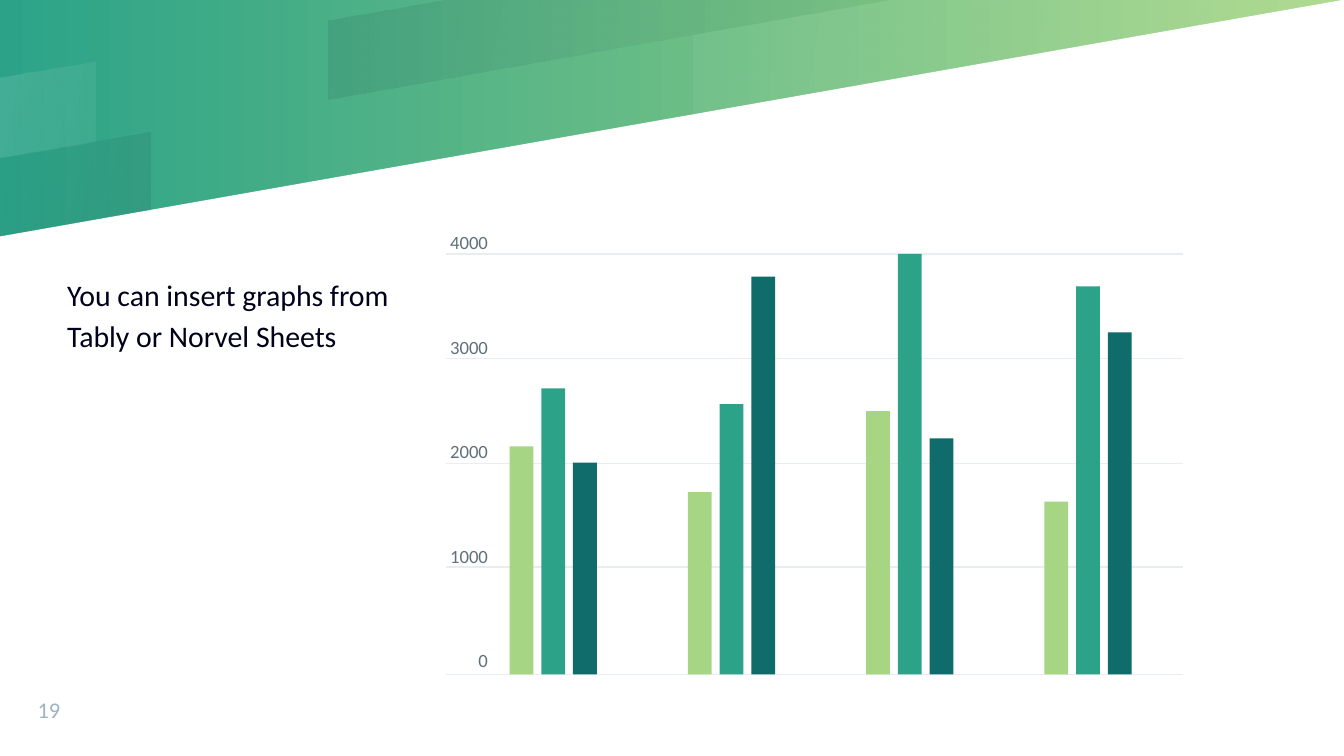
from dataclasses import dataclass

from lxml import etree
from pptx import Presentation
from pptx.dml.color import RGBColor
from pptx.enum import shapes, text
from pptx.oxml.ns import qn
from pptx.util import Cm, Pt


@dataclass(frozen=True)
class Theme:
    """Colours, font and type sizes of the slide."""
    lime: str = "A6D683"
    green: str = "2CA388"
    teal: str = "106B6B"
    ink: str = "00001A"
    white: str = "FFFFFF"
    grid: str = "E8EDF1"
    label: str = "60707A"
    number: str = "9EB3C2"
    font: str = "Calibri"
    body_size: int = 16
    number_size: int = 12
    label_size: int = 10


THEME = Theme()
SERIES_COLOURS = (THEME.lime, THEME.green, THEME.teal)
GROUPS = ((2170, 2720, 2015), (1735, 2570, 3785), (2505, 4000, 2245), (1645, 3690, 3255))
AXIS_MAX = 4000
AXIS_LABELS = ("4000", "3000", "2000", "1000", "0")
GRID_TOPS = (4.8, 6.78, 8.76, 10.72, 12.75)
BANDS = (
    (((0, 2.97), (0, 4.47), (2.84, 3.96), (2.84, 2.49)), THEME.ink, (2, 8)),
    (((16.89, 0), (13.11, 0.66), (13.11, 2.16), (25.37, 0)), THEME.white, (5, 12)),
    (((0, 1.47), (0, 2.97), (1.8, 2.67), (1.8, 1.17)), THEME.white, (12, 5)),
    (((8.43, 0), (6.2, 0.38), (6.2, 1.88), (16.89, 0)), THEME.ink, (8, 2)),
)


def set_gradient(fill, colours, angle):
    """Apply a two-stop linear gradient."""
    fill.gradient()
    fill.gradient_angle = angle
    for stop, colour in zip(fill.gradient_stops, colours):
        stop.color.rgb = RGBColor.from_string(colour)


def set_solid(shape, colour):
    """Apply a solid fill."""
    shape.fill.solid()
    shape.fill.fore_color.rgb = RGBColor.from_string(colour)


def add_polygon(page, points):
    """Add a closed outline without line or shadow."""
    corners = [(Cm(x), Cm(y)) for x, y in points]
    builder = page.shapes.build_freeform(*corners[0])
    builder.add_line_segments(corners[1:], close=True)
    polygon = builder.convert_to_shape()
    polygon.shadow.inherit = False
    polygon.line.fill.background()
    return polygon


def add_band(page, points, colour, opacities):
    """Add a translucent band of one colour with fading opacity."""
    band = add_polygon(page, points)
    set_gradient(band.fill, (colour, colour), 350)
    stops = band.fill._xPr.iter(qn("a:srgbClr"))
    for stop, opacity in zip(stops, opacities):
        etree.SubElement(stop, qn("a:alpha"), val=str(opacity * 1000))


def add_text(page, frame, lines, size, colour, align=text.PP_ALIGN.LEFT,
             anchor=text.MSO_ANCHOR.TOP, spacing=None, gap=0, first_gap=0):
    """Add a text box without margins, one paragraph per line."""
    box = page.shapes.add_textbox(*map(Cm, frame)).text_frame
    box.word_wrap = True
    box.vertical_anchor = anchor
    box.margin_left = box.margin_right = box.margin_top = box.margin_bottom = 0
    box.text = "\n".join(lines)
    for index, para in enumerate(box.paragraphs):
        para.alignment = align
        para.line_spacing = spacing
        para.space_before = Pt(gap if index else first_gap)
        para.font.name = THEME.font
        para.font.size = Pt(size)
        para.font.color.rgb = RGBColor.from_string(colour)


def add_gridline(page, top):
    """Add one horizontal gridline."""
    line = page.shapes.add_connector(
        shapes.MSO_CONNECTOR.STRAIGHT, Cm(8.43), Cm(top), Cm(22.35), Cm(top))
    line.line.color.rgb = RGBColor.from_string(THEME.grid)
    line.line.width = Pt(0.75)
    etree.SubElement(line._element.spPr, qn("a:effectLst"))


def add_bar(page, left, value, colour):
    """Add a bar that stands on the baseline."""
    top, base = GRID_TOPS[0], GRID_TOPS[-1]
    height = (base - top) * value / AXIS_MAX
    bar = page.shapes.add_shape(
        shapes.MSO_SHAPE.RECTANGLE, Cm(left), Cm(base - height), Cm(0.45), Cm(height))
    bar.shadow.inherit = False
    bar.line.fill.background()
    set_solid(bar, colour)


def add_bar_graph(page):
    """Add gridlines, axis labels and grouped bars."""
    for top in GRID_TOPS:
        add_gridline(page, top)
    add_text(page, (8.23, 4.37, 0.99, 8.41), AXIS_LABELS, THEME.label_size,
             THEME.label, align=text.PP_ALIGN.RIGHT, gap=44)
    for group, values in enumerate(GROUPS):
        for series, value in enumerate(values):
            left = 9.63 + 3.37 * group + 0.6 * series
            add_bar(page, left, value, SERIES_COLOURS[series])


def main():
    """Build the slide and save the deck."""
    deck = Presentation()
    deck.slide_width, deck.slide_height = Cm(25.4), Cm(14.29)
    page = deck.slides.add_slide(deck.slide_layouts[6])
    set_gradient(page.background.fill, (THEME.green, THEME.lime), 0)
    panel = add_polygon(
        page, ((0, 14.29), (25.4, 14.29), (25.4, 0), (25.37, 0), (0, 4.47)))
    set_solid(panel, THEME.white)
    for points, colour, opacities in BANDS:
        add_band(page, points, colour, opacities)
    add_text(page, (1.27, 5.13, 6.1, 7.52),
             ["You can insert graphs from Tably or Norvel Sheets"],
             THEME.body_size, THEME.ink, spacing=1.15, first_gap=3.6)
    add_text(page, (0.71, 12.98, 1.35, 0.69), ["19"], THEME.number_size,
             THEME.number, anchor=text.MSO_ANCHOR.BOTTOM)
    add_bar_graph(page)
    deck.save("out.pptx")


if __name__ == "__main__":
    main()
